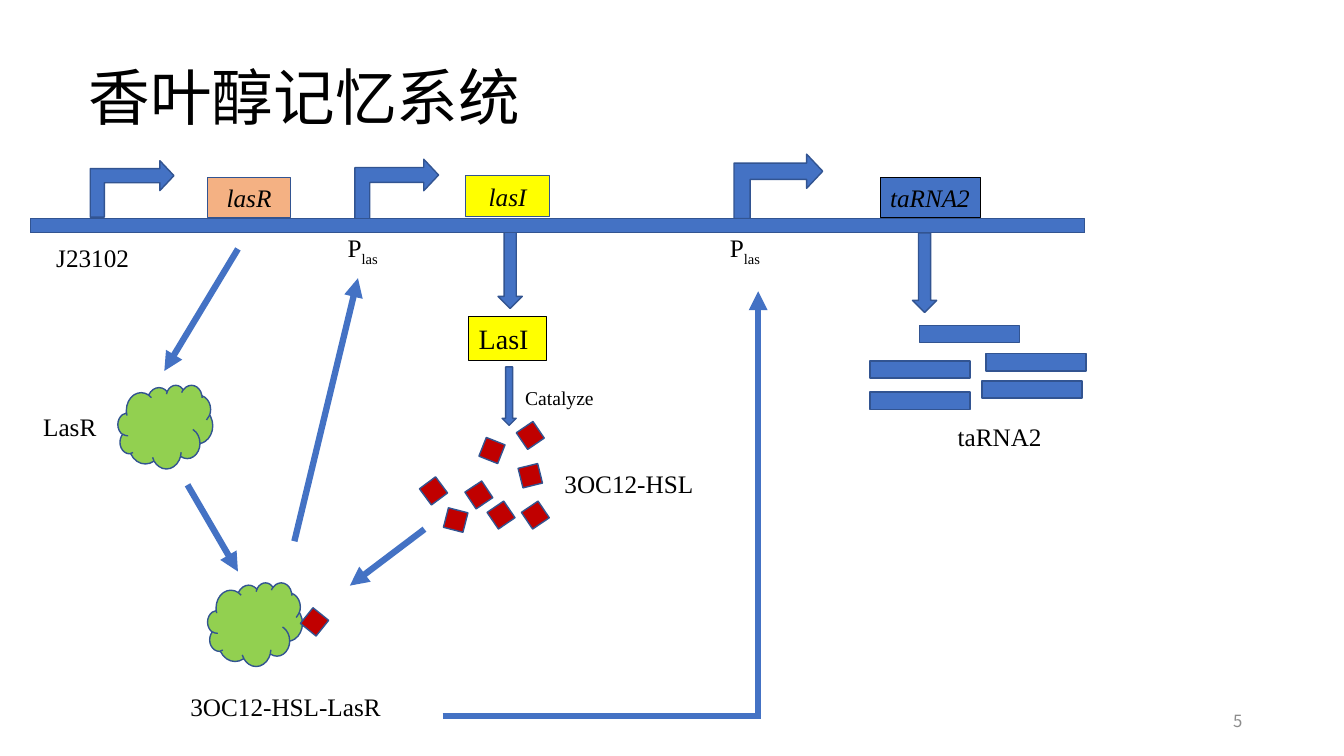
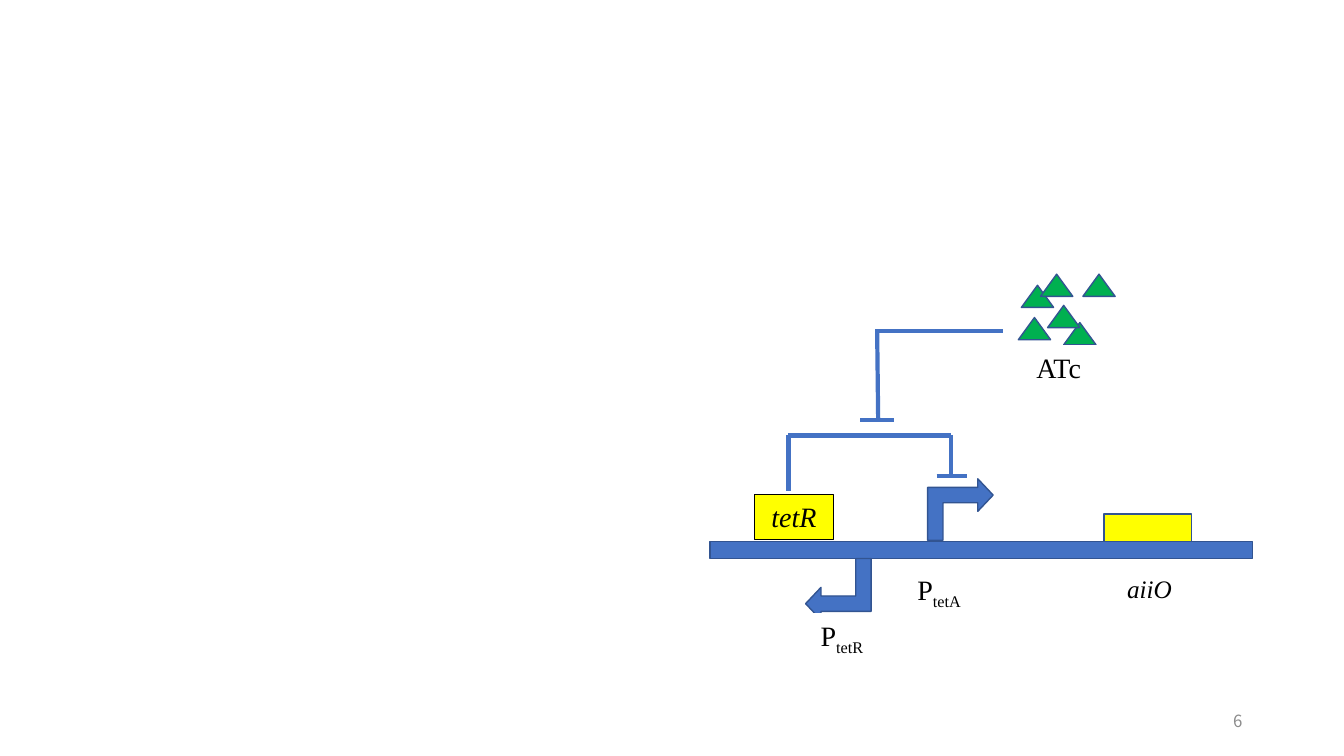
from lxml.etree import SubElement
from pptx import Presentation
from pptx.dml.color import RGBColor
from pptx.enum.shapes import MSO_CONNECTOR as Connector, MSO_SHAPE as Shape
from pptx.enum.text import MSO_ANCHOR as Anchor, MSO_AUTO_SIZE as AutoSize, PP_ALIGN as Align
from pptx.oxml.ns import qn
from pptx.util import Inches, Pt

BLACK = RGBColor(0x00, 0x00, 0x00)
WHITE = RGBColor(0xFF, 0xFF, 0xFF)
GRAY = RGBColor(0x8C, 0x8C, 0x8C)
BLUE = RGBColor(0x44, 0x72, 0xC4)
OUTLINE = RGBColor(0x32, 0x54, 0x91)
YELLOW = RGBColor(0xFF, 0xFF, 0x00)
ORANGE = RGBColor(0xF4, 0xB1, 0x83)
RED = RGBColor(0xC0, 0x00, 0x00)
LIME = RGBColor(0x92, 0xD0, 0x50)
GREEN = RGBColor(0x00, 0xB0, 0x50)

SERIF = "Times New Roman"
SANS = "Noto Sans CJK SC"
FIRST_PAGE = 5


def style_run(run, size, italic=False, color=BLACK, name=SERIF):
    run.font.size = Pt(size)
    run.font.name = name
    run.font.color.rgb = color
    if italic:
        run.font.italic = True


def paint(shape, fill, line, width):
    shape.fill.solid()
    shape.fill.fore_color.rgb = fill
    shape.line.color.rgb = line
    shape.line.width = Pt(width)


def add_title(page, text):
    title = page.shapes.title
    title.left, title.top = Inches(0.78), Inches(0.27)
    title.width, title.height = Inches(11.5), Inches(1.45)
    frame = title.text_frame
    frame.text = text
    frame.auto_size = AutoSize.NONE
    frame.vertical_anchor = Anchor.MIDDLE
    para = frame.paragraphs[0]
    para.alignment = Align.LEFT
    para.line_spacing = 0.9
    span = para.runs[0]
    style_run(span, 44)
    SubElement(span._r.get_or_add_rPr(), qn("a:ea")).set("typeface", SANS)


def add_page_number(page, number):
    box = page.shapes.add_textbox(Inches(9.42), Inches(6.95), Inches(3), Inches(0.4))
    frame = box.text_frame
    frame.word_wrap = True
    frame.vertical_anchor = Anchor.MIDDLE
    frame.text = str(number)
    para = frame.paragraphs[0]
    para.alignment = Align.RIGHT
    style_run(para.runs[0], 12, color=GRAY, name=SANS)


def add_label(page, text, area, size=18, italic=False, fill=None, line=BLACK,
              align=Align.LEFT, wrap=True):
    box = page.shapes.add_textbox(*map(Inches, area))
    if fill is not None:
        paint(box, fill, line, 0.75)
    frame = box.text_frame
    frame.word_wrap = wrap
    base, _, subscript = text.partition("_")
    frame.text = base
    para = frame.paragraphs[0]
    para.alignment = align
    if subscript:
        span = para.add_run()
        span.text = subscript
        span._r.get_or_add_rPr().set("baseline", "-25000")
    for span in para.runs:
        style_run(span, size, italic)


def add_block(page, kind, area, fill=BLUE, rotation=0, text=""):
    block = page.shapes.add_shape(kind, *map(Inches, area))
    block.shadow.inherit = False
    block.rotation = rotation
    paint(block, fill, OUTLINE, 1)
    if text:
        frame = block.text_frame
        frame.text = text
        frame.vertical_anchor = Anchor.MIDDLE
        para = frame.paragraphs[0]
        para.alignment = Align.CENTER
        style_run(para.runs[0], 18, italic=True)
    return block


def add_promoter(page, area, rotation=270):
    arrow = add_block(page, Shape.BENT_UP_ARROW, area, rotation=rotation)
    arrow.adjustments[1] = 0.265
    arrow.element.spPr.find(qn("a:xfrm")).set("flipV", "1")


def add_link(page, start, end, width=4.5, arrow=False):
    link = page.shapes.add_connector(Connector.STRAIGHT, *map(Inches, start + end))
    link.line.color.rgb = BLUE
    link.line.width = Pt(width)
    properties = link.element.spPr
    if arrow:
        SubElement(properties.find(qn("a:ln")), qn("a:tailEnd")).set("type", "triangle")
    SubElement(properties, qn("a:effectLst"))


def add_molecule(page, left, top, rotation):
    add_block(page, Shape.RECTANGLE, (left, top, 0.2, 0.2), RED, rotation)


def build_memory_system(page):
    add_title(page, "香叶醇记忆系统")

    for area in [(4.94, 2.27, 0.24, 0.79), (4.98, 3.64, 0.14, 0.58)]:
        add_block(page, Shape.DOWN_ARROW, area)
    add_block(page, Shape.RECTANGLE, (2.06, 1.76, 0.82, 0.4), ORANGE, text="lasR")
    add_block(page, Shape.RECTANGLE, (4.62, 1.74, 0.83, 0.41), YELLOW, text="lasI")
    for area in [(1.03, 1.46, 0.56, 0.83), (3.64, 1.46, 0.59, 0.83), (7.4, 1.41, 0.64, 0.88)]:
        add_promoter(page, area)
    add_label(page, "taRNA2", (8.73, 1.76, 1, 0.4), italic=True, fill=BLUE, wrap=False)
    add_block(page, Shape.RECTANGLE, (0.3, 2.17, 10.46, 0.14))
    add_block(page, Shape.DOWN_ARROW, (9.05, 2.31, 0.24, 0.79))

    add_label(page, "LasI", (4.65, 3.14, 0.77, 0.44), 20, fill=YELLOW)
    for text, area in [
        ("J23102", (0.46, 2.35, 0.94, 0.4)),
        ("P_las", (3.35, 2.26, 0.87, 0.4)),
        ("P_las", (7.14, 2.26, 0.59, 0.4)),
        ("LasR", (0.33, 4.03, 0.82, 0.4)),
        ("3OC12-HSL", (5.5, 4.6, 1.49, 0.4)),
        ("3OC12-HSL-LasR", (1.79, 6.81, 2.17, 0.4)),
    ]:
        add_label(page, text, area)
    add_label(page, "taRNA2", (9.4, 4.13, 1.04, 0.4), wrap=False)
    add_label(page, "Catalyze", (5.11, 3.78, 1.1, 0.34), 14)

    for left, top in [(8.63, 3.58), (9.78, 3.51), (8.63, 3.89), (9.74, 3.78), (9.12, 3.23)]:
        add_block(page, Shape.FLOWCHART_PROCESS, (left, top, 0.99, 0.17))

    add_link(page, (4.39, 7.1), (7.55, 7.1))
    for start, end in [
        ((7.52, 7.08), (7.52, 2.89)),
        ((2.92, 5.37), (3.55, 2.76)),
        ((1.86, 4.81), (2.36, 5.67)),
        ((4.21, 5.25), (3.47, 5.81)),
        ((2.36, 2.47), (1.63, 3.68)),
    ]:
        add_link(page, start, end, arrow=True)

    for left, top in [(1.17, 3.82), (2.06, 5.78)]:
        add_block(page, Shape.CLOUD, (left, top, 0.94, 0.83), LIME)
    for left, top, rotation in [
        (4.78, 4.37, 21.6), (5.16, 4.22, 325.8), (4.65, 4.81, 326.3),
        (4.42, 5.06, 14.4), (5.16, 4.62, 346.1), (4.2, 4.77, 323.4),
        (4.87, 5.01, 325.7), (5.21, 5.01, 325.9), (3.02, 6.07, 38.8),
    ]:
        add_molecule(page, left, top, rotation)


def build_repression(page):
    add_block(page, Shape.RECTANGLE, (7.04, 5.37, 5.38, 0.17))
    add_block(page, Shape.RECTANGLE, (10.95, 5.1, 0.87, 0.27), YELLOW)
    add_label(page, "aiiO", (11.08, 5.64, 0.75, 0.4), italic=True)
    add_label(page, "tetR", (7.48, 4.91, 0.79, 0.44), 20, italic=True, fill=YELLOW,
              align=Align.CENTER)
    add_promoter(page, (8.01, 5.52, 0.61, 0.65), rotation=90)

    for left, top in [(10.13, 2.83), (10.74, 2.72), (10.55, 3.2),
                      (10.1, 3.15), (10.39, 3.03), (10.32, 2.72)]:
        add_block(page, Shape.ISOSCELES_TRIANGLE, (left, top, 0.32, 0.22), GREEN)

    for text, area in [
        ("P_tetA", (9, 5.63, 0.72, 0.44)),
        ("ATc", (10.18, 3.43, 0.75, 0.44)),
        ("P_tetR", (8.04, 6.09, 0.76, 0.44)),
    ]:
        add_label(page, text, area, 20, fill=WHITE, line=WHITE)
    add_promoter(page, (9.22, 4.73, 0.61, 0.65))

    for start, end in [
        ((9.29, 4.72), (9.59, 4.72)),
        ((9.43, 4.32), (9.43, 4.72)),
        ((7.82, 4.32), (9.43, 4.32)),
        ((7.82, 4.32), (7.82, 4.87)),
        ((8.68, 3.28), (9.95, 3.28)),
        ((8.7, 3.28), (8.71, 4.17)),
        ((8.53, 4.17), (8.87, 4.17)),
    ]:
        add_link(page, start, end, 3)


def main():
    deck = Presentation()
    deck.slide_width, deck.slide_height = Inches(13.33), Inches(7.5)
    title_only, blank = deck.slide_layouts[5], deck.slide_layouts[6]
    builders = [(title_only, build_memory_system), (blank, build_repression)]
    for number, (layout, build) in enumerate(builders, FIRST_PAGE):
        page = deck.slides.add_slide(layout)
        build(page)
        add_page_number(page, number)
    deck.save("out.pptx")


main()
